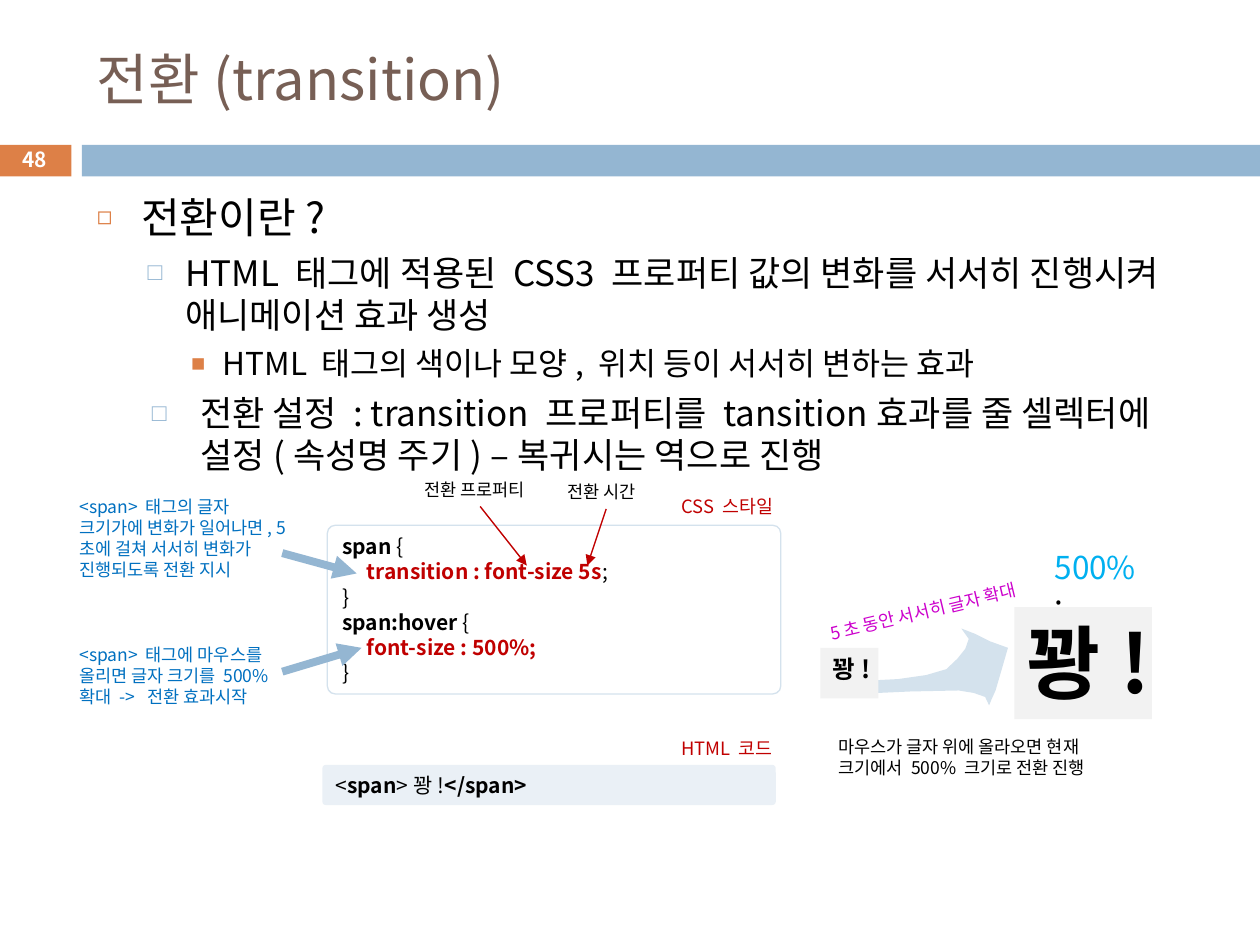
from dataclasses import dataclass
from typing import Optional

import pptx
import pptx.dml.color
import pptx.enum.shapes
import pptx.enum.text
import pptx.oxml
import pptx.oxml.ns
import pptx.util
from pptx.util import Cm

FONT = "Noto Sans CJK KR"
BLACK, WHITE, RED, BLUE = "000000", "FFFFFF", "C00000", "0070C0"
STEEL, ORANGE, PALE, GREY = "94B6D2", "DD8047", "D4E2ED", "F2F2F2"
SHAPES = pptx.enum.shapes.MSO_SHAPE
ALIGN = pptx.enum.text.PP_ALIGN
MIDDLE = pptx.enum.text.MSO_ANCHOR.MIDDLE


@dataclass
class Span:
    text: str
    color: str = BLACK
    bold: bool = False


@dataclass
class Box:
    place: tuple[float, float, float, float]
    lines: list[list[Span]]
    size: float
    wrap: bool = True
    kind: Optional[int] = None
    fill: Optional[str] = None
    line: Optional[str] = None
    radius: Optional[float] = None
    rotation: float = 0


@dataclass
class Arrow:
    start: tuple[float, float]
    end: tuple[float, float]
    color: str
    width: float


@dataclass
class Bullet:
    text: str
    level: int
    size: float
    before: float
    left: float
    hanging: float
    mark: str
    color: str
    percent: int


def rgb(value: str):
    return pptx.dml.color.RGBColor.from_string(value)


def add_xml(parent, tag: str, **attributes):
    element = pptx.oxml.parse_xml(f"<a:{tag} {pptx.oxml.ns.nsdecls('a')}/>")
    for name, value in attributes.items():
        element.set(name, str(value))
    parent.append(element)
    return element


def format_para(para, size: float, color: Optional[str] = None, bold: bool = False) -> None:
    para.line_spacing = pptx.util.Pt(size * 1.2)
    for run in para.runs:
        run.font.size = pptx.util.Pt(size)
        if color:
            run.font.color.rgb = rgb(color)
            run.font.bold = bold
        run.font.name = FONT
        add_xml(run._r.get_or_add_rPr(), "ea", typeface=FONT)


def paint(shape, fill: Optional[str], line: Optional[str] = None) -> None:
    shape.shadow.inherit = False
    if fill:
        shape.fill.solid()
        shape.fill.fore_color.rgb = rgb(fill)
    else:
        shape.fill.background()
    if line:
        shape.line.color.rgb = rgb(line)
        shape.line.width = pptx.util.Pt(0.75)
    else:
        shape.line.fill.background()


def draw_box(page, box: Box):
    place = [Cm(value) for value in box.place]
    if box.kind is None:
        shape = page.shapes.add_textbox(*place)
    else:
        shape = page.shapes.add_shape(box.kind, *place)
        paint(shape, box.fill, box.line)
        if box.radius is not None:
            shape.adjustments[0] = box.radius
    shape.rotation = box.rotation
    frame = shape.text_frame
    frame.word_wrap = box.wrap
    frame.vertical_anchor = pptx.enum.text.MSO_ANCHOR.TOP
    for index, line in enumerate(box.lines):
        para = frame.add_paragraph() if index else frame.paragraphs[0]
        para.alignment = ALIGN.LEFT
        for span in line:
            run = para.add_run()
            run.text = span.text
            run.font.bold = span.bold
            run.font.color.rgb = rgb(span.color)
        format_para(para, box.size)
        if line and line[0].text == "\t":
            tabs = add_xml(para._p.get_or_add_pPr(), "tabLst")
            add_xml(tabs, "tab", pos=int(Cm(0.5)), algn="l")
    return shape


def draw_arrow(page, arrow: Arrow) -> None:
    ends = [Cm(value) for value in arrow.start + arrow.end]
    connector = page.shapes.add_connector(pptx.enum.shapes.MSO_CONNECTOR.STRAIGHT, *ends)
    connector.line.color.rgb = rgb(arrow.color)
    connector.line.width = pptx.util.Pt(arrow.width)
    add_xml(connector.line._get_or_add_ln(), "tailEnd", type="triangle")
    add_xml(connector._element.spPr, "effectLst")


def move(shape, left: float, top: float, width: float, height: float) -> None:
    shape.left, shape.top, shape.width, shape.height = map(Cm, (left, top, width, height))


def write_bullet(para, bullet: Bullet) -> None:
    para.text = bullet.text
    para.level = bullet.level
    para.space_before = pptx.util.Pt(bullet.before)
    format_para(para, bullet.size, BLACK)
    props = para._p.get_or_add_pPr()
    props.set("marL", str(int(Cm(bullet.left))))
    props.set("indent", str(-int(Cm(bullet.hanging))))
    add_xml(add_xml(props, "buClr"), "srgbClr", val=bullet.color)
    add_xml(props, "buSzPct", val=bullet.percent * 1000)
    add_xml(props, "buChar", char=bullet.mark)


BULLETS = [
    Bullet("전환이란?", 0, 24, 7, 0.89, 0.89, "◻", ORANGE, 60),
    Bullet("HTML 태그에 적용된 CSS3 프로퍼티 값의 변화를 서서히 진행시켜 애니메이션 효과 생성",
           1, 20, 5.5, 1.78, 0.76, "□", STEEL, 70),
    Bullet("HTML 태그의 색이나 모양, 위치 등이 서서히 변하는 효과",
           2, 18, 5, 2.54, 0.64, "■", ORANGE, 75),
    Bullet("전환 설정 : transition 프로퍼티를 tansition효과를 줄 셀렉터에\v"
           "설정(속성명 주기) –복귀시는 역으로 진행",
           1, 20, 5.5, 2.08, 0.97, "□", STEEL, 70),
]

CSS_CODE = [
    [Span("span", bold=True), Span(" {")],
    [Span("\t"), Span("transition : font-size 5s", RED, True), Span(";")],
    [Span("}")],
    [Span("span:hover", bold=True), Span(" {")],
    [Span("\t", bold=True), Span("font-size : 500%;", RED, True)],
    [Span("}")],
]
HTML_CODE = [[Span("<"), Span("span", bold=True), Span(">꽝!"), Span("</span>", bold=True)]]
BANG = [[Span("꽝!", bold=True)]]
HOVER_NOTE = ["<span> 태그에 마우스를", "올리면 글자 크기를 500%", "확대 ->  전환 효과시작"]
CHANGE_NOTE = "<span> 태그의 글자 크기가에 변화가 일어나면, 5초에 걸쳐 서서히 변화가 진행되도록 전환 지시"

BOXES = [
    Box((16.54, 13.06, 1.17, 1.02), BANG, 14, False, SHAPES.RECTANGLE, GREY),
    Box((21.01, 10.92, 2.24, 1.02), [[Span("500%", "00B0F0"), Span(";")]], 18),
    Box((16.43, 11.89, 5.16, 0.69), [[Span("5초 동안 서서히 글자 확대", "CC00CC")]], 10,
        rotation=346.5),
    Box((6.5, 15.42, 9.14, 0.81), HTML_CODE, 12, True, SHAPES.ROUNDED_RECTANGLE, "EAF0F6",
        radius=0.084),
    Box((6.6, 10.59, 9.14, 3.4), CSS_CODE, 12, True, SHAPES.ROUNDED_RECTANGLE, line=PALE,
        radius=0.047),
    Box((13.49, 9.86, 2.41, 0.71), [[Span("CSS 스타일", RED)]], 10.5, False),
    Box((13.49, 14.73, 2.39, 0.71), [[Span("HTML 코드", RED)]], 10.5, False),
    Box((8.31, 9.53, 2.77, 0.69), [[Span("전환 프로퍼티")]], 10, False),
    Box((11.2, 9.58, 2.06, 0.69), [[Span("전환 시간")]], 10, False),
    Box((16.66, 14.71, 6.48, 1.12),
        [[Span("마우스가 글자 위에 올라오면 현재 크기에서 500% 크기로 전환 진행")]], 10),
    Box((20.45, 12.24, 2.77, 2.26), BANG, 46, False, SHAPES.RECTANGLE, GREY),
    Box((1.35, 12.85, 4.8, 1.55), [[Span(text, BLUE)] for text in HOVER_NOTE], 10),
    Box((1.35, 9.88, 4.8, 1.96), [[Span(CHANGE_NOTE, BLUE)]], 10),
]

ARROWS = [
    Arrow((9.68, 10.21), (10.62, 11.4), RED, 0.79),
    Arrow((12.22, 10.26), (11.84, 11.4), RED, 0.79),
    Arrow((5.69, 13.54), (7.29, 13.06), STEEL, 4.5),
    Arrow((5.69, 11.15), (7.19, 11.56), STEEL, 4.5),
]

GROWTH_OUTLINE = [
    (17.53, 13.72), (18.11, 13.69), (18.67, 13.61), (19.08, 13.49), (19.3, 13.28),
    (19.46, 13.08), (19.53, 12.88), (19.38, 12.67), (19.66, 12.78), (19.96, 12.93),
    (20.32, 13.06), (20.19, 13.51), (20.07, 13.92), (19.99, 14.1), (19.94, 14.22),
    (19.86, 14.05), (19.63, 13.97), (19.33, 13.92), (18.36, 13.94), (17.7, 13.97),
    (17.5, 13.92),
]


def main() -> None:
    deck = pptx.Presentation()
    deck.slide_width, deck.slide_height = Cm(25.4), Cm(19.05)
    page = deck.slides.add_slide(deck.slide_layouts[1])

    # Title and bulleted list
    title, body = page.shapes.title, page.placeholders[1]
    move(title, 1.7, 0.64, 22.66, 1.88)
    title.text_frame.text = "전환(transition)"
    title.text_frame.vertical_anchor = MIDDLE
    title.text_frame.paragraphs[0].alignment = ALIGN.LEFT
    format_para(title.text_frame.paragraphs[0], 32, "775F55")
    move(body, 1.7, 3.73, 22.66, 14)
    for shape in (title, body):
        shape.text_frame.auto_size = pptx.enum.text.MSO_AUTO_SIZE.NONE
    for index, bullet in enumerate(BULLETS):
        frame = body.text_frame
        write_bullet(frame.add_paragraph() if index else frame.paragraphs[0], bullet)

    # Header band and page number
    for left, width, color in ((-0.03, 1.47, ORANGE), (1.65, 23.75, STEEL)):
        draw_box(page, Box((left, 2.92, width, 0.64), [], 12, kind=SHAPES.RECTANGLE, fill=color))
    number = draw_box(page, Box((-0.03, 2.87, 1.47, 0.69), [[Span("48", WHITE, True)]], 11.9))
    number.text_frame.vertical_anchor = MIDDLE
    number.text_frame.paragraphs[0].alignment = ALIGN.CENTER

    # Curved arrow from the small word to the large one
    points = [(Cm(x), Cm(y)) for x, y in GROWTH_OUTLINE]
    builder = page.shapes.build_freeform(*points[0])
    builder.add_line_segments(points[1:], close=True)
    paint(builder.convert_to_shape(), PALE)

    # Code panels, labels and pointers
    for box in BOXES:
        draw_box(page, box)
    for arrow in ARROWS:
        draw_arrow(page, arrow)

    deck.save("out.pptx")


if __name__ == "__main__":
    main()
